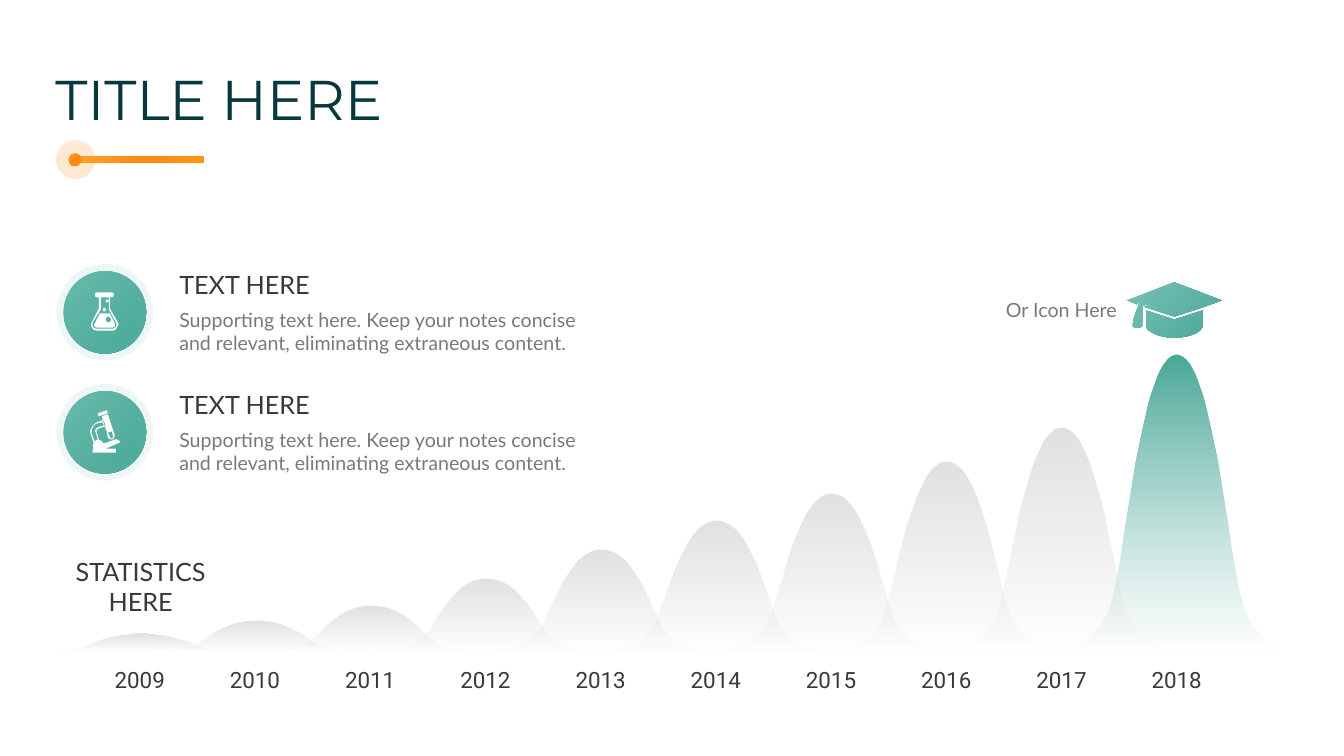
from dataclasses import dataclass
from typing import Any

import lxml.etree
import pptx
import pptx.dml.color
import pptx.enum.dml
import pptx.enum.shapes
import pptx.enum.text
import pptx.oxml.ns
import pptx.util

Pt = pptx.util.Pt
qn = pptx.oxml.ns.qn
Align = pptx.enum.text.PP_ALIGN
Anchor = pptx.enum.text.MSO_ANCHOR
AutoSize = pptx.enum.text.MSO_AUTO_SIZE
Shape = pptx.enum.shapes.MSO_SHAPE

INK, MUTED, NAVY, WHITE = "3B3838", "797979", "06383C", "FFFFFF"
PALE_TEAL, TEAL, DEEP_TEAL = "7AC0B5", "66BAAB", "4AA898"
Stops = list[tuple[int, str, int]]  # position %, colour, opacity %
GREY_FADE: Stops = [(0, "D0CECE", 62), (100, "D0CECE", 0)]
TEAL_FADE: Stops = [(0, DEEP_TEAL, 100), (100, PALE_TEAL, 0)]
CAP_FILL: Stops = [(0, PALE_TEAL, 100), (100, DEEP_TEAL, 100)]
BADGE_FILL: Stops = [(0, TEAL, 100), (100, DEEP_TEAL, 100)]
ORANGE: Stops = [(0, "FFA62E", 100), (52, "FF8811", 100), (100, "FE970D", 100)]
HALO: Stops = [(0, "FFA62E", 20), (52, "FF8811", 18), (100, "FE970D", 20)]

ICON_UNIT = 0.72  # points per step of an icon outline
PEAK_UNIT = 0.01
BASELINE = 464.8
PEAK_STEP, FIRST_PEAK = 82.2, 100.8
YEAR_STEP, FIRST_YEAR = 82.3, 99.8
PEAK_HEIGHTS = [12.5, 21.7, 32.5, 51.3, 72.2, 93.3, 112.3, 135.2, 159.3, 211.4]
# Distance from the centre and share of the height, from the foot to the top
PEAK_SIDE = [(82.4, 0), (58.3, 0.003), (47.5, 0.153), (36.7, 0.303), (26, 1), (0, 1)]
PEAK_FOOT = 83.6

# Each icon is a list of closed contours
CAP = [
    """M1137,308 L1165,317 L1193,308 L1193,322 C1193,322,1193,322,1193,323
    C1193,329,1181,335,1165,335 C1150,335,1137,329,1137,323 L1137,317""",
    """M1165,280 L1212,298 L1193,305 L1165,314 L1137,305 L1135,304 L1140,303
    L1140,302 L1134,303 L1134,305 L1133,324 C1128,327,1124,324,1124,324
    C1123,317,1130,302,1130,302 L1130,301 L1133,300 L1129,300 L1128,302 L1118,298"""]
FLASK = [
    """M107,314 C105,315,104,316,105,318 C105,319,107,320,108,320
    C110,319,111,318,110,316 C110,315,108,314,107,314""",
    """M99,311 L109,311 L114,321 C114,322,114,323,114,324 C113,324,113,325,112,325
    L96,325 C95,325,94,324,94,324 C93,323,93,322,94,321""",
    """M103,305 C104,305,105,306,105,307 C106,307,105,308,104,309
    C103,309,102,308,102,308 C102,307,102,306,103,305""",
    """M106,297 C106,297,107,298,108,298 C108,299,107,300,106,300
    C106,301,105,300,105,299 C104,298,105,298,106,297""",
    """M100,295 L100,307 L92,320 C92,322,92,323,92,324 C93,326,94,326,96,326
    L112,326 C113,326,114,326,115,324 C116,323,116,322,115,320 L108,307 L108,295""",
    """M96,290 L111,290 C112,290,113,291,113,292 C113,294,112,295,111,295 L109,295
    L109,306 L117,320 C118,321,118,323,116,325 C115,327,114,328,112,328 L96,328
    C94,328,92,327,91,325 C90,323,90,321,91,320 L98,306 L98,295 L96,295
    C95,295,94,294,94,292 C94,291,95,290,96,290"""]
MICROSCOPE = [
    """M111,428 L107,429 L109,433 C109,434,110,435,110,435
    C111,435,111,435,111,435 C112,435,112,434,112,434 C112,433,113,433,112,432""",
    """M112,426 L114,432 C114,433,114,433,113,434 C113,435,112,436,111,436
    C111,436,111,436,110,436 C109,436,108,435,107,434 L106,428""",
    """M102,419 L96,420 C94,421,93,422,92,424 C91,426,91,428,91,430 L94,438
    C95,437,96,436,97,436 L95,429 C94,428,94,427,95,426 C96,425,96,424,97,424 L103,422""",
    """M102,417 L104,423 L98,425 C96,426,95,427,96,429 L98,436 C100,437,102,438,103,440
    L114,436 C115,436,115,436,116,436 C117,436,118,437,119,438 L119,439 L105,445
    L115,445 L115,449 L92,449 L92,445 L93,445 C92,444,92,443,92,442
    C92,441,92,440,93,439 L90,431 C89,429,89,426,91,424 C92,422,94,420,96,419""",
    "M107,411 L112,426 L106,428 L104,423 L105,423 L103,417 L102,417 L101,413",
    "M106,407 L107,410 L98,413 L97,410"]


@dataclass
class Para:
    text: str
    size: float
    color: str = INK
    font: str = "Lato"
    align: Any = Align.LEFT
    after: float = 0


@dataclass
class Feature:
    top: float
    icon: list[str]
    heading: str
    body: str


BODY = ("Supporting text here. Keep your notes concise and relevant, "
        "eliminating extraneous content.")
FEATURES = [Feature(188.6, FLASK, "TEXT HERE", BODY),
            Feature(274.3, MICROSCOPE, "TEXT HERE", BODY)]


def rgb(color: str) -> pptx.dml.color.RGBColor:
    return pptx.dml.color.RGBColor.from_string(color)


def set_values(target: Any, values: dict[str, Any]) -> None:
    for name, value in values.items():
        setattr(target, name, value)


def set_alpha(color_element: Any, percent: int) -> None:
    lxml.etree.SubElement(color_element, qn("a:alpha"), val=str(percent * 1000))


def paint_gradient(shape: Any, stops: Stops, angle: int) -> None:
    """Fill with the stops, the angle turning clockwise, and drop line and shadow."""
    shape.shadow.inherit = False
    shape.line.fill.background()
    shape.fill.gradient()
    gradient = shape._element.spPr.find(qn("a:gradFill"))
    for child in list(gradient):
        gradient.remove(child)
    stop_list = lxml.etree.SubElement(gradient, qn("a:gsLst"))
    for position, color, alpha in stops:
        stop = lxml.etree.SubElement(stop_list, qn("a:gs"), pos=str(position * 1000))
        set_alpha(lxml.etree.SubElement(stop, qn("a:srgbClr"), val=color), alpha)
    lxml.etree.SubElement(gradient, qn("a:lin"), ang=str(angle * 60000), scaled="0")


def write_text(box: Any, frame: tuple[float, ...], paras: list[Para],
               wrap: bool = True) -> None:
    left, top, width, height = map(Pt, frame)
    set_values(box, {"left": left, "top": top, "width": width, "height": height})
    set_values(box.text_frame, {
        "word_wrap": wrap, "vertical_anchor": Anchor.TOP,
        "auto_size": AutoSize.SHAPE_TO_FIT_TEXT if wrap else AutoSize.NONE})
    for index, item in enumerate(paras):
        para = box.text_frame.add_paragraph() if index else box.text_frame.paragraphs[0]
        set_values(para, {"alignment": item.align, "space_after": Pt(item.after)})
        span = para.add_run()
        span.text = item.text
        set_values(span.font, {"name": item.font, "size": Pt(item.size)})
        span.font.color.rgb = rgb(item.color)


def add_text(page: Any, frame: tuple[float, ...], *paras: Para, wrap: bool = True) -> None:
    write_text(page.shapes.add_textbox(0, 0, 0, 0), frame, list(paras), wrap)


def add_outline(page: Any, contours: list[str], unit: float) -> Any:
    """Draw closed contours of M, L and C commands as one freeform with true curves."""
    builder, curves = None, []
    for contour in contours:
        points = []
        for command in contour.split():
            numbers = [int(number) for number in command[1:].split(",")]
            pairs = list(zip(numbers[::2], numbers[1::2]))
            if command[0] != "M":
                points += pairs
                curves.append(command[0] == "C")
            elif builder is None:
                builder = page.shapes.build_freeform(*pairs[0], scale=Pt(unit))
            else:
                builder.move_to(*pairs[0])
        builder.add_line_segments(points, close=True)
    shape = builder.convert_to_shape()
    segments = iter(list(shape._element.iter(qn("a:lnTo"))))
    for is_curve in curves:
        segment = next(segments)
        if is_curve:
            segment.tag = qn("a:cubicBezTo")
            for _ in range(2):
                control = next(segments)
                segment.append(control[0])
                control.getparent().remove(control)
    shape.shadow.inherit = False
    shape.line.fill.background()
    return shape


def add_peak(page: Any, index: int, stops: Stops) -> None:
    center = FIRST_PEAK + index * PEAK_STEP

    def place(offset: float, share: float) -> str:
        x, y = center + offset, BASELINE - share * PEAK_HEIGHTS[index]
        return f"{x / PEAK_UNIT:.0f},{y / PEAK_UNIT:.0f}"

    rise = [place(-offset, share) for offset, share in PEAK_SIDE]
    fall = [place(*side) for side in PEAK_SIDE[-2::-1]] + [place(PEAK_FOOT, 0)]
    curve = rise + fall
    steps = [f"C{','.join(curve[start:start + 3])}" for start in range(0, len(curve), 3)]
    contour = f"M{place(PEAK_FOOT, 0)} L{place(-PEAK_FOOT, 0)} {' '.join(steps)}"
    paint_gradient(add_outline(page, [contour], PEAK_UNIT), stops, 90)


def add_feature(page: Any, feature: Feature) -> None:
    badge = page.shapes.add_shape(Shape.OVAL, Pt(45.4), Pt(feature.top + 5), Pt(59), Pt(59))
    paint_gradient(badge, BADGE_FILL, 45)
    badge.line.color.rgb = rgb(TEAL)
    badge.line.width = Pt(10)
    set_alpha(badge.line._ln.find(".//" + qn("a:srgbClr")), 10)
    add_text(page, (121, feature.top, 319.7, 69.1),
             Para(feature.heading, 18, after=6), Para(feature.body, 14, MUTED))
    icon = add_outline(page, feature.icon, ICON_UNIT)
    icon.fill.solid()
    icon.fill.fore_color.rgb = rgb(WHITE)


def add_accent(page: Any) -> None:
    group = page.shapes.add_group_shape()
    for kind, frame, stops in [(Shape.RECTANGLE, (53.3, 111.9, 92.2, 4.3), ORANGE),
                               (Shape.OVAL, (40.3, 100.8, 26.9, 26.9), HALO),
                               (Shape.OVAL, (49.1, 109.7, 8.9, 8.9), ORANGE)]:
        paint_gradient(group.shapes.add_shape(kind, *map(Pt, frame)), stops, 45)


def main() -> None:
    deck = pptx.Presentation()
    set_values(deck, {"slide_width": Pt(960), "slide_height": Pt(540)})
    page = deck.slides.add_slide(deck.slide_layouts[5])
    write_text(page.shapes.title, (32.4, 42.5, 408.2, 55.4),
               [Para("TITLE HERE", 40, NAVY, "Montserrat")])
    last = len(PEAK_HEIGHTS) - 1
    add_peak(page, last, TEAL_FADE)
    for index in range(last):
        add_peak(page, index, GREY_FADE)
    for index in range(len(PEAK_HEIGHTS)):
        left = FIRST_YEAR + index * YEAR_STEP - 27
        add_text(page, (left, 472.3, 54, 25.2),
                 Para(str(2009 + index), 16, font="Roboto", align=Align.CENTER), wrap=False)
    add_accent(page)
    for feature in FEATURES:
        add_feature(page, feature)
    add_text(page, (38.9, 393.8, 123.1, 51.1),
             Para("STATISTICS HERE", 18, align=Align.CENTER, after=6))
    add_text(page, (681.8, 209.5, 123.1, 24.5),
             Para("Or Icon Here", 14, MUTED, align=Align.RIGHT, after=6))
    paint_gradient(add_outline(page, CAP, ICON_UNIT), CAP_FILL, 45)
    deck.save("out.pptx")


if __name__ == "__main__":
    main()
